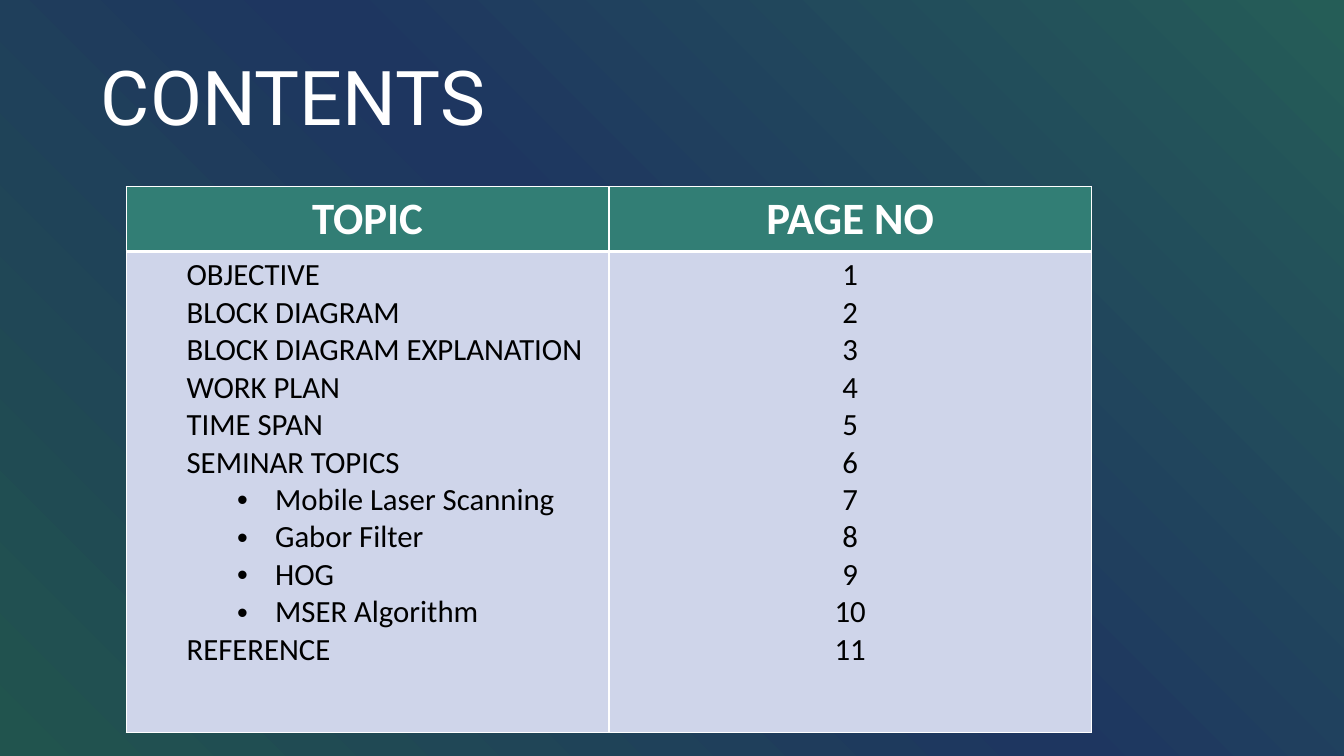
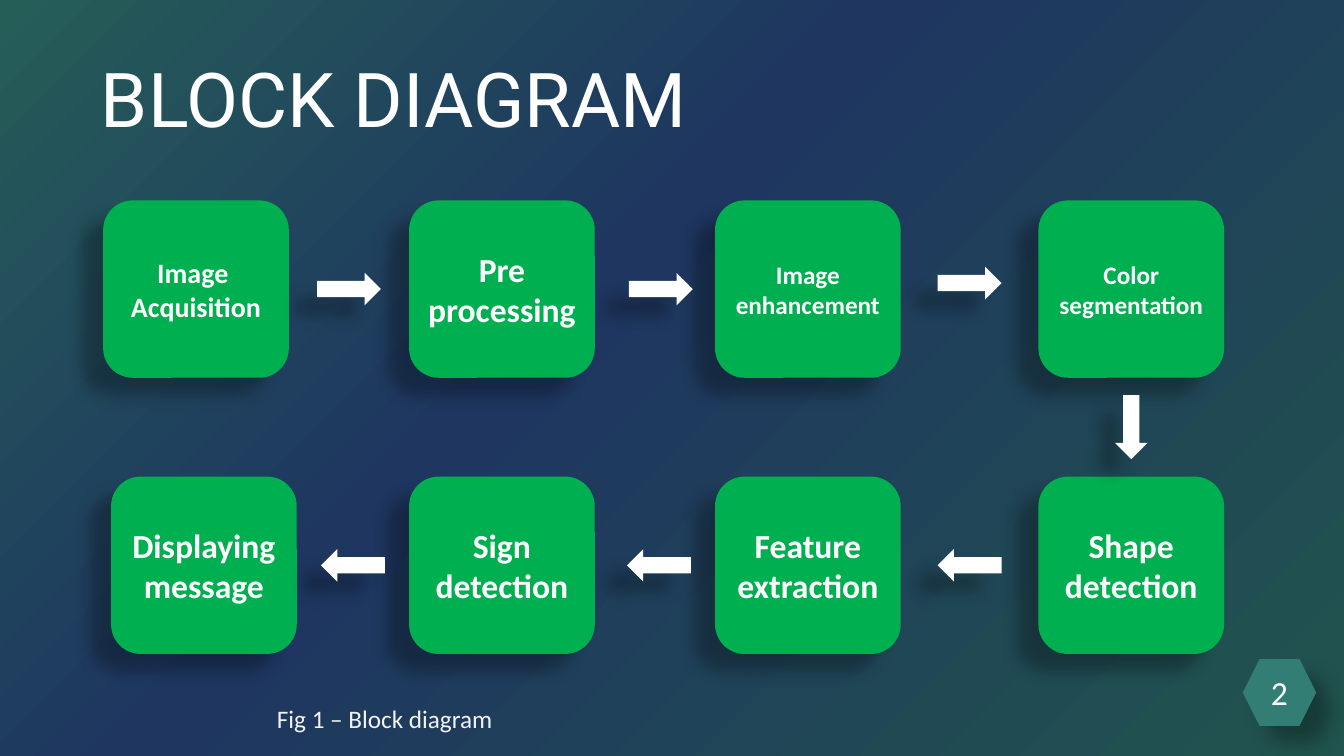
from dataclasses import dataclass

from lxml.etree import SubElement
from pptx import Presentation
from pptx.dml.color import RGBColor
from pptx.enum.shapes import MSO_SHAPE
from pptx.enum.text import MSO_ANCHOR, MSO_AUTO_SIZE, PP_ALIGN
from pptx.oxml import parse_xml
from pptx.oxml.ns import nsdecls, qn
from pptx.util import Cm, Pt


@dataclass(frozen=True)
class Theme:
    white: str = "FFFFFF"
    black: str = "000000"
    teal: str = "327E75"
    green: str = "00B050"
    cell: str = "CFD5EA"
    caption: str = "F2F2F2"
    back_start: str = "21544E"
    back_mid: str = "1E3660"
    back_end: str = "255D57"
    title_font: str = "Roboto"
    body_font: str = "Calibri"
    title_size: int = 54
    header_size: int = 32
    large: int = 24
    entry_size: int = 22
    medium: int = 20
    small: int = 18
    # Shadows: opacity %, blur pt, distance pt, angle in degrees
    block_shadow: tuple = (28, 11.8, 19.7, 141)
    badge_shadow: tuple = (30, 15, 18, 45)


THEME = Theme()

TOPICS = [("OBJECTIVE", 1), ("BLOCK DIAGRAM", 1),
          ("BLOCK DIAGRAM EXPLANATION", 1), ("WORK PLAN", 1),
          ("TIME SPAN", 1), ("SEMINAR TOPICS", 1),
          ("Mobile Laser Scanning", 2), ("Gabor Filter", 2),
          ("HOG", 2), ("MSER Algorithm", 2), ("REFERENCE", 1)]

# Each step: lines of text, type size, shift to the right in cm
TOP_STEPS = [(["Image ", "Acquisition"], THEME.medium, 0),
             (["Pre processing"], THEME.large, 0),
             (["Image enhancement"], THEME.small, 0),
             (["Color segmentation"], THEME.small, 0)]
BOTTOM_STEPS = [(["Displaying message"], THEME.large, 0.2),
                (["Sign detection"], THEME.large, 0),
                (["Feature extraction"], THEME.large, 0),
                (["Shape detection"], THEME.large, 0)]
# Shift of each arrow from the middle of its gap, in cm
TOP_SHIFTS = [(0, 0), (0.15, 0), (0, -0.15)]
BOTTOM_SHIFTS = [(0, 0), (0.1, 0), (0, 0)]


# Shared helpers
def add_run(paragraph, text, size, color=THEME.white, bold=False,
            font=THEME.body_font):
    run = paragraph.add_run()
    run.text = text
    run.font.name = font
    run.font.size = Pt(size)
    run.font.bold = bold
    run.font.color.rgb = RGBColor.from_string(color)


def add_paragraph(frame, position, align):
    paragraph = frame.add_paragraph() if position else frame.paragraphs[0]
    paragraph.alignment = align
    return paragraph


def add_block(slide, preset, box, color, shadow):
    block = slide.shapes.add_shape(preset, *map(Cm, box))
    block.fill.solid()
    block.fill.fore_color.rgb = RGBColor.from_string(color)
    block.line.fill.background()
    block.shadow.inherit = False
    opacity, blur, distance, angle = shadow
    effects = block.fill._xPr.find(qn("a:effectLst"))
    outer = SubElement(effects, qn("a:outerShdw"), blurRad=str(Pt(blur)),
                       dist=str(Pt(distance)), dir=str(angle * 60000),
                       algn="ctr", rotWithShape="0")
    tone = SubElement(outer, qn("a:srgbClr"), val=THEME.black)
    SubElement(tone, qn("a:alpha"), val=str(opacity * 1000))
    return block


def paint_background(slide, middle, focus):
    stops = [(0, THEME.back_start), (middle, THEME.back_mid),
             (100, THEME.back_end)]
    stop_xml = "".join(f'<a:gs pos="{place * 1000}"><a:srgbClr val="{color}"/></a:gs>'
                       for place, color in stops)
    edges = " ".join(f'{side}="{share * 1000}"'
                     for side, share in zip("ltrb", focus))
    slide.element.cSld.insert(0, parse_xml(
        f'<p:bg {nsdecls("p", "a")}><p:bgPr><a:gradFill rotWithShape="1">'
        f'<a:gsLst>{stop_xml}</a:gsLst><a:path path="circle">'
        f'<a:fillToRect {edges}/></a:path></a:gradFill>'
        f'<a:effectLst/></p:bgPr></p:bg>'))


def start_slide(deck, heading, top, middle, focus):
    slide = deck.slides.add_slide(deck.slide_layouts[5])
    paint_background(slide, middle, focus)
    title = slide.shapes.title
    title.left, title.top, title.width, title.height = map(
        Cm, (2.29, top, 17.35, 2.57))
    frame = title.text_frame
    frame.auto_size = MSO_AUTO_SIZE.NONE
    frame.vertical_anchor = MSO_ANCHOR.MIDDLE
    add_run(add_paragraph(frame, 0, PP_ALIGN.LEFT), heading,
            THEME.title_size, font=THEME.title_font)
    return slide


# Contents table
def style_cell(cell, color, top=1, bottom=1):
    borders = {"lnL": 1, "lnR": 1, "lnT": top, "lnB": bottom}
    properties = cell._tc.get_or_add_tcPr()
    for side, width in borders.items():
        border = SubElement(properties, qn(f"a:{side}"), w=str(Pt(width)))
        paint = SubElement(border, qn("a:solidFill"))
        SubElement(paint, qn("a:srgbClr"), val=THEME.white)
    cell.fill.solid()
    cell.fill.fore_color.rgb = RGBColor.from_string(color)


def indent_topic(paragraph, level):
    paragraph.level = level
    margin, hanging = {1: (1.27, 0), 2: (3.5, -0.96)}[level]
    properties = paragraph._p.get_or_add_pPr()
    properties.set("marL", str(Cm(margin)))
    properties.set("indent", str(Cm(hanging)))
    if level == 2:
        SubElement(properties, qn("a:buFont"), typeface="Arial")
        SubElement(properties, qn("a:buChar"), char="•")


def add_contents(slide, left, top, width, height):
    header_height = 1.6
    table = slide.shapes.add_table(
        2, 2, *map(Cm, (left, top, width, height))).table
    table.rows[0].height = Cm(header_height)
    table.rows[1].height = Cm(height - header_height)
    for column, label in enumerate(["TOPIC", "PAGE NO"]):
        table.columns[column].width = Cm(width / 2)
        header = table.cell(0, column)
        style_cell(header, THEME.teal, bottom=3)
        style_cell(table.cell(1, column), THEME.cell, top=3)
        add_run(add_paragraph(header.text_frame, 0, PP_ALIGN.CENTER),
                label, THEME.header_size, bold=True)
    topics, pages = (table.cell(1, column).text_frame for column in range(2))
    for position, (topic, level) in enumerate(TOPICS):
        entry = add_paragraph(topics, position, PP_ALIGN.JUSTIFY)
        indent_topic(entry, level)
        add_run(entry, topic, THEME.entry_size, THEME.black)
        add_run(add_paragraph(pages, position, PP_ALIGN.CENTER),
                str(position + 1), THEME.entry_size, THEME.black)


# Block diagram
def add_step(slide, box, lines, size):
    step = add_block(slide, MSO_SHAPE.ROUNDED_RECTANGLE, box, THEME.green,
                     THEME.block_shadow)
    frame = step.text_frame
    frame.word_wrap = True
    frame.vertical_anchor = MSO_ANCHOR.MIDDLE
    for position, line in enumerate(lines):
        add_run(add_paragraph(frame, position, PP_ALIGN.CENTER),
                line, size, bold=True)


def add_arrow(slide, center_x, center_y, turn):
    length, thickness = 1.61, 0.82
    arrow = add_block(slide, MSO_SHAPE.RIGHT_ARROW,
                      (center_x - length / 2, center_y - thickness / 2,
                       length, thickness), THEME.white, THEME.block_shadow)
    arrow.rotation = turn


def add_diagram(slide, left, top):
    step_width, step_height, row_pitch = 4.68, 4.47, 6.96
    columns = [left + offset for offset in (0, 7.71, 15.42, 23.57)]
    rows = [(TOP_STEPS, TOP_SHIFTS, 0), (BOTTOM_STEPS, BOTTOM_SHIFTS, 180)]
    for row, (steps, arrow_shifts, turn) in enumerate(rows):
        row_top = top + row * row_pitch
        lefts = [x + shift for x, (_, _, shift) in zip(columns, steps)]
        for x, (lines, size, _) in zip(lefts, steps):
            add_step(slide, (x, row_top, step_width, step_height), lines, size)
        for x, following, (right, down) in zip(lefts, lefts[1:], arrow_shifts):
            add_arrow(slide, (x + step_width + following) / 2 + right,
                      row_top + step_height / 2 + down, turn)
    # Arrow from the top row down to the bottom row
    add_arrow(slide, columns[-1] + step_width / 2,
              top + (step_height + row_pitch) / 2, 90)


def add_page_badge(slide, box, number):
    badge = add_block(slide, MSO_SHAPE.HEXAGON, box, THEME.teal,
                      THEME.badge_shadow)
    frame = badge.text_frame
    frame.margin_left = frame.margin_right = 0
    frame.margin_top = frame.margin_bottom = 0
    frame.vertical_anchor = MSO_ANCHOR.MIDDLE
    add_run(add_paragraph(frame, 0, PP_ALIGN.CENTER), number, THEME.large)


def add_caption(slide, box, text):
    frame = slide.shapes.add_textbox(*map(Cm, box)).text_frame
    frame.word_wrap = True
    add_run(add_paragraph(frame, 0, PP_ALIGN.LEFT), text, THEME.small,
            THEME.caption)


# Slides
def build_contents_slide(deck):
    slide = start_slide(deck, "CONTENTS", 1.12, 51, (0, 100, 100, 0))
    add_contents(slide, 3.18, 4.7, 24.33, 13.72)


def build_diagram_slide(deck):
    slide = start_slide(deck, "BLOCK DIAGRAM", 1.17, 58, (100, 100, 0, 0))
    add_diagram(slide, 2.6, 5.05)
    add_page_badge(slide, (31.32, 16.61, 1.85, 1.68), "2")
    add_caption(slide, (6.73, 17.6, 7.54, 1.02), "Fig 1 – Block diagram")


def main():
    deck = Presentation()
    deck.slide_width, deck.slide_height = Cm(33.87), Cm(19.05)
    build_contents_slide(deck)
    build_diagram_slide(deck)
    deck.save("out.pptx")


if __name__ == "__main__":
    main()
